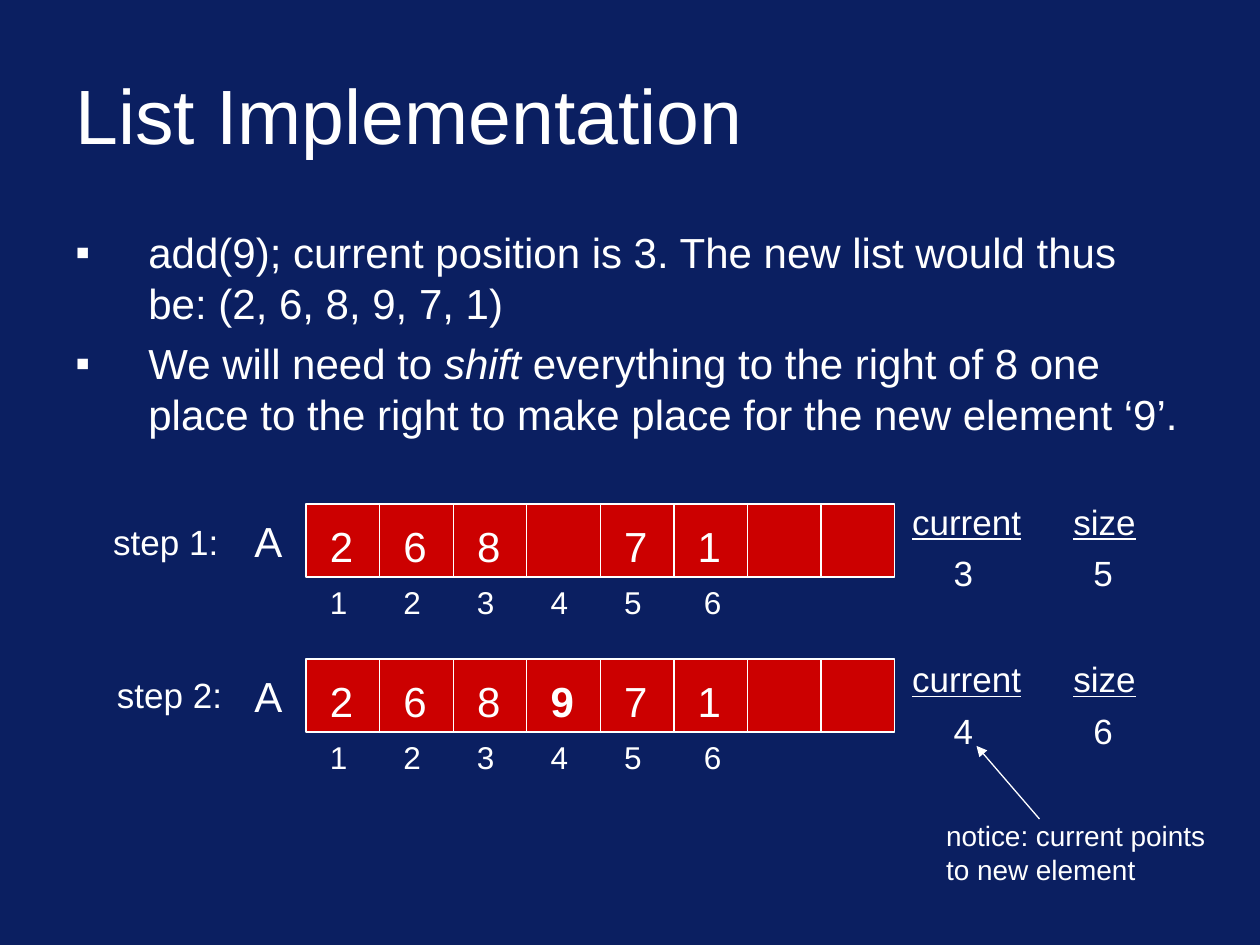
from dataclasses import dataclass

from lxml import etree
from pptx import Presentation
from pptx.dml.color import RGBColor
from pptx.enum.shapes import MSO_CONNECTOR, MSO_SHAPE
from pptx.enum.text import MSO_ANCHOR, MSO_AUTO_SIZE
from pptx.oxml.ns import qn
from pptx.util import Inches, Pt

STRAIGHT = MSO_CONNECTOR.STRAIGHT
RECTANGLE = MSO_SHAPE.RECTANGLE
MIDDLE = MSO_ANCHOR.MIDDLE
FIT_SHAPE = MSO_AUTO_SIZE.SHAPE_TO_FIT_TEXT
FIXED_SIZE = MSO_AUTO_SIZE.NONE
TOP, BOTTOM = 0, 2


@dataclass(frozen=True)
class Theme:
    background: RGBColor = RGBColor(0x0B, 0x1F, 0x61)
    ink: RGBColor = RGBColor(0xFF, 0xFF, 0xFF)
    cell: RGBColor = RGBColor(0xCC, 0x00, 0x00)
    font: str = "Arial"
    title: int = 44
    body: int = 24
    label: int = 20
    index: int = 18
    note: int = 16
    line: float = 0.75


THEME = Theme()

# Array geometry in inches
ARRAY_LEFT, ARRAY_WIDTH, ARRAY_HEIGHT = 2.43, 4.67, 0.58
CELLS = 8
PITCH = ARRAY_WIDTH / CELLS
TEXT_LEFT = 2.52
INDICES = 6

BULLETS = [
    [("add(9); current position is 3. The new list would thus be: "
      "(2, 6, 8, 9, 7, 1)", False)],
    [("We will need to ", False), ("shift", True),
     (" everything to the right of 8 one place to the right to make place "
      "for the new element ‘9’.", False)],
]


def style(r, size, bold=False, italic=False, underline=False):
    r.font.name = THEME.font
    r.font.size = Pt(size)
    r.font.color.rgb = THEME.ink
    r.font.bold, r.font.italic, r.font.underline = bold, italic, underline


def add_text(shapes, text, x, y, w, h, size, **emphasis):
    sp = shapes.add_textbox(Inches(x), Inches(y), Inches(w), Inches(h))
    tf = sp.text_frame
    tf.text = text
    tf.word_wrap = True
    tf.auto_size = FIT_SHAPE
    for p in tf.paragraphs:
        for r in p.runs:
            style(r, size, **emphasis)
    return sp


def add_title(shapes, text):
    tf = add_text(shapes, text, 0.5, 0.4, 9, 1, THEME.title).text_frame
    tf.auto_size = FIXED_SIZE
    tf.vertical_anchor = MIDDLE


def add_bullets(shapes, items):
    sp = shapes.add_textbox(Inches(0.5), Inches(1.75), Inches(9), Inches(2))
    tf = sp.text_frame
    tf.word_wrap = True
    for i, item in enumerate(items):
        p = tf.paragraphs[0] if i == 0 else tf.add_paragraph()
        p.space_before = Pt(6)
        for text, italic in item:
            r = p.add_run()
            r.text = text
            style(r, THEME.body, italic=italic)
        # Hanging bullet
        pPr = p._p.get_or_add_pPr()
        pPr.set("marL", str(Inches(0.58)))
        pPr.set("indent", str(-Inches(0.58)))
        etree.SubElement(pPr, qn("a:buFont")).set("typeface", THEME.font)
        etree.SubElement(pPr, qn("a:buChar")).set("char", "▪")


def add_line(shapes, x1, y1, x2, y2, arrow=False):
    line = shapes.add_connector(STRAIGHT, Inches(x1), Inches(y1),
                                Inches(x2), Inches(y2))
    line.line.color.rgb = THEME.ink
    line.line.width = Pt(THEME.line)
    if arrow:
        ln = line.line._get_or_add_ln()
        etree.SubElement(ln, qn("a:tailEnd")).set("type", "triangle")
    etree.SubElement(line._element.spPr, qn("a:effectLst"))
    return line


def add_array(shapes, y, values, new_value):
    sp = shapes.add_shape(RECTANGLE, Inches(ARRAY_LEFT), Inches(y),
                          Inches(ARRAY_WIDTH), Inches(ARRAY_HEIGHT))
    sp.shadow.inherit = False
    sp.fill.solid()
    sp.fill.fore_color.rgb = THEME.cell
    sp.line.color.rgb = THEME.ink
    sp.line.width = Pt(THEME.line)

    # Cell dividers; the centre one joins the midpoints of the rectangle
    for i in range(1, CELLS):
        x = ARRAY_LEFT + i * PITCH
        divider = add_line(shapes, x, y, x, y + ARRAY_HEIGHT)
        if i == CELLS / 2:
            divider.begin_connect(sp, TOP)
            divider.end_connect(sp, BOTTOM)

    # Cell values
    for i, value in enumerate(values):
        if value:
            add_text(shapes, value, TEXT_LEFT + i * PITCH, y + 0.08, 0.38, 0.5,
                     THEME.body, bold=value == new_value)

    # Positions below the cells, the last one set slightly to the right
    for i in range(INDICES):
        nudge = 0.05 if i == INDICES - 1 else 0
        add_text(shapes, str(i + 1), TEXT_LEFT + i * PITCH + nudge,
                 y + ARRAY_HEIGHT, 0.34, 0.4, THEME.index)


def add_counters(shapes, y, current, size):
    for name, value, x, w, value_x in (("current", current, 7.14, 1.15, 7.47),
                                       ("size", size, 8.42, 0.75, 8.58)):
        add_text(shapes, name, x, y, w, 0.44, THEME.label, underline=True)
        add_text(shapes, value, value_x, y + 0.41, 0.35, 0.44, THEME.label)


def add_step(s, name, name_x, name_y, array_y, counter_y, values, current,
             size, new_value=None):
    shapes = s.shapes.add_group_shape().shapes
    add_text(shapes, name, name_x, name_y, 1.1, 0.44, THEME.label)
    add_text(shapes, "A", 1.92, array_y + 0.04, 0.42, 0.5, THEME.body)
    add_array(shapes, array_y, values, new_value)
    add_counters(shapes, counter_y, current, size)
    return shapes


def main():
    prs = Presentation()
    prs.slide_width, prs.slide_height = Inches(10), Inches(7.5)
    s = prs.slides.add_slide(prs.slide_layouts[6])
    s.background.fill.solid()
    s.background.fill.fore_color.rgb = THEME.background

    add_title(s.shapes, "List Implementation")
    add_bullets(s.shapes, BULLETS)

    # Shift first, then insert
    add_step(s, "step 1:", 0.8, 4.08, 4, 3.92,
             ["2", "6", "8", "", "7", "1"], "3", "5")
    step2 = add_step(s, "step 2:", 0.83, 5.3, 5.23, 5.17,
                     ["2", "6", "8", "9", "7", "1"], "4", "6", new_value="9")

    # Remark on the new current position
    add_text(step2, "notice: current points\nto new element",
             7.41, 6.45, 2.35, 0.64, THEME.note)
    add_line(step2, 8.25, 6.5, 7.75, 5.92, arrow=True)

    prs.save("out.pptx")


if __name__ == "__main__":
    main()
